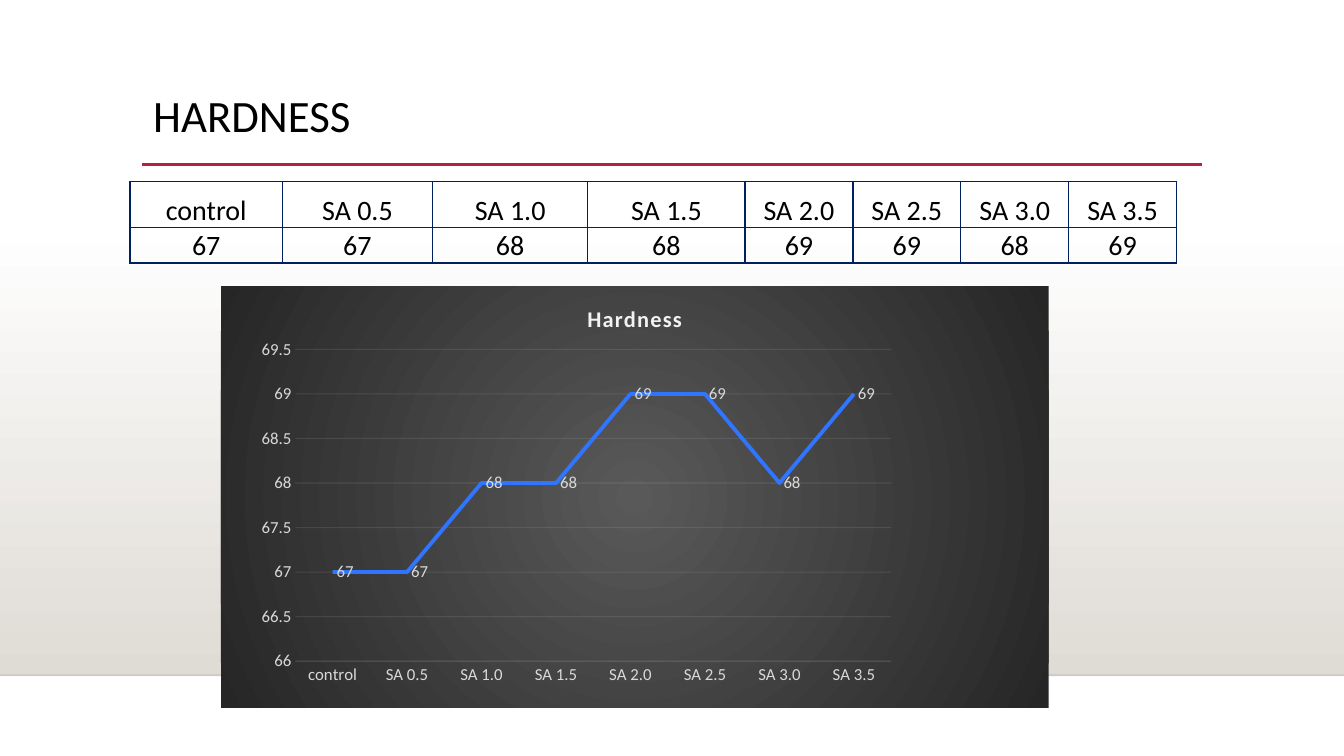
from pptx import Presentation, util as u
from pptx.chart.data import CategoryChartData
from pptx.dml.color import RGBColor
from pptx.enum import chart as charts, shapes, text
from pptx.oxml import parse_xml
from pptx.oxml.ns import nsdecls

WIDTH, HEIGHT = u.Inches(13.33), u.Inches(7.5)
FONT = "Calibri"
COLORS = {
    "white": "FFFFFF", "black": "000000", "stone": "DFDBD5", "floor": "000001",
    "crimson": "B71E42", "navy": "002060", "blue": "3075FF", "label": "D9D9D9",
    "pale": "F2F2F2", "glow": "595959", "charcoal": "262626",
}
SAMPLES = ["control"] + [f"SA {step / 2:.1f}" for step in range(1, 8)]
HARDNESS = [67, 67, 68, 68, 69, 69, 68, 69]
COLUMN_SHARES = [11.33, 11.18, 11.55, 11.7] + [8.03] * 4
ROW_SHARES = [6.13, 4.67]


def color(name):
    """Return a named colour."""
    return RGBColor.from_string(COLORS[name])


def across(share):
    """Turn a percentage of the slide width into a length."""
    return u.Emu(round(WIDTH * share / 100))


def down(share):
    """Turn a percentage of the slide height into a length."""
    return u.Emu(round(HEIGHT * share / 100))


def area(left, top, width, height):
    """Turn slide percentages into a position and size."""
    return across(left), down(top), across(width), down(height)


def style_font(font, size, name):
    """Set the face, size and colour of a font."""
    font.name, font.size = FONT, u.Pt(size)
    font.color.rgb = color(name)


def style_line(line, name, width):
    """Set the colour and width of a line."""
    line.color.rgb = color(name)
    line.width = u.Pt(width)


def fade(element, query, percent):
    """Give the matching colours an opacity."""
    for tint in element.xpath(query):
        tint.append(parse_xml(f'<a:alpha {nsdecls("a")} val="{percent * 1000}"/>'))


def add_band(page):
    """Add the shaded wall behind the content."""
    band = page.shapes.add_shape(shapes.MSO_SHAPE.RECTANGLE, *area(0, 29.47, 100, 59.86))
    band.shadow.inherit = False
    band.line.fill.background()
    band.fill.gradient()
    band.fill.gradient_angle = 270
    for stop, name in zip(band.fill.gradient_stops, ("white", "stone")):
        stop.color.rgb = color(name)


def add_rule(page, left, right, top, name, width):
    """Add a horizontal line and return it."""
    rule = page.shapes.add_connector(
        shapes.MSO_CONNECTOR.STRAIGHT, across(left), down(top), across(right), down(top))
    style_line(rule.line, name, width)
    rule.element.spPr.append(parse_xml(f'<a:effectLst {nsdecls("a")}/>'))
    return rule


def set_title(page, words):
    """Place and format the slide title."""
    box = page.shapes.title
    box.left, box.top, box.width, box.height = area(10.65, 11.73, 78.77, 15.33)
    frame = box.text_frame
    frame.text = words
    frame.vertical_anchor = text.MSO_ANCHOR.TOP
    paragraph = frame.paragraphs[0]
    paragraph.alignment = text.PP_ALIGN.LEFT
    paragraph.line_spacing = 0.9
    style_font(paragraph.font, 32, "black")


def fill_cell(cell, words):
    """Write one bordered, centred table cell."""
    cell.text = words
    cell.vertical_anchor = text.MSO_ANCHOR.BOTTOM
    cell.margin_left = cell.margin_right = cell.margin_top = u.Inches(0.01)
    cell.margin_bottom = 0
    paragraph = cell.text_frame.paragraphs[0]
    paragraph.alignment = text.PP_ALIGN.CENTER
    style_font(paragraph.font, 20, "black")
    cell.fill.background()
    properties = cell.fill._xPr
    for index, side in enumerate(("lnL", "lnR", "lnT", "lnB")):
        properties.insert(index, parse_xml(
            f'<a:{side} {nsdecls("a")} w="{u.Pt(1)}"><a:solidFill>'
            f'<a:srgbClr val="{COLORS["navy"]}"/></a:solidFill></a:{side}>'))


def add_hardness_table(page):
    """Add the table of samples and readings."""
    rows = [SAMPLES, [str(value) for value in HARDNESS]]
    table = page.shapes.add_table(
        len(rows), len(SAMPLES),
        *area(9.68, 24, sum(COLUMN_SHARES), sum(ROW_SHARES))).table
    table.first_row = table.horz_banding = False
    for column, share in zip(table.columns, COLUMN_SHARES):
        column.width = across(share)
    for row, share, values in zip(table.rows, ROW_SHARES, rows):
        row.height = down(share)
        for cell, value in zip(row.cells, values):
            fill_cell(cell, value)


def set_backdrop(chart):
    """Give the chart a radial gradient and no outline."""
    stops = "".join(
        f'<a:gs pos="{position}"><a:srgbClr val="{COLORS[name]}"/></a:gs>'
        for position, name in ((0, "glow"), (100000, "charcoal")))
    chart.element.xpath("c:chart")[0].addnext(parse_xml(
        f'<c:spPr {nsdecls("c", "a")}><a:gradFill><a:gsLst>{stops}</a:gsLst>'
        '<a:path path="circle"><a:fillToRect l="50000" t="50000" r="50000" b="50000"/>'
        '</a:path></a:gradFill><a:ln><a:noFill/></a:ln></c:spPr>'))


def set_plot_area(chart, **edges):
    """Fix the inner plot area as shares of the chart."""
    plot_area = chart.element.xpath("c:chart/c:plotArea")[0]
    for layout in plot_area.xpath("c:layout"):
        plot_area.remove(layout)
    modes = '<c:xMode val="edge"/><c:yMode val="edge"/>'
    values = "".join(f'<c:{edge} val="{share}"/>' for edge, share in edges.items())
    plot_area.insert(0, parse_xml(
        f'<c:layout {nsdecls("c")}><c:manualLayout><c:layoutTarget val="inner"/>'
        f'{modes}{values}</c:manualLayout></c:layout>'))


def style_axes(chart):
    """Format both axes and the gridlines."""
    for axis in (chart.category_axis, chart.value_axis):
        axis.major_tick_mark = axis.minor_tick_mark = charts.XL_TICK_MARK.NONE
        style_font(axis.tick_labels.font, 12, "label")
    values = chart.value_axis
    values.minimum_scale, values.maximum_scale, values.major_unit = 66, 69.5, 0.5
    values.format.line.fill.background()
    for line in (chart.category_axis.format.line, values.major_gridlines.format.line):
        style_line(line, "pale", 0.75)
    fade(chart.element, ".//c:catAx/c:spPr//a:srgbClr | .//c:majorGridlines//a:srgbClr", 10)


def style_series(plot):
    """Format the line and its value labels."""
    plot.vary_by_categories = False
    series = plot.series[0]
    series.smooth = False
    series.marker.style = charts.XL_MARKER_STYLE.NONE
    style_line(series.format.line, "blue", 2.75)
    labels = series.data_labels
    labels.show_value = True
    labels.position = charts.XL_LABEL_POSITION.RIGHT
    style_font(labels.font, 12, "label")


def add_hardness_chart(page):
    """Add the line chart of hardness by sample."""
    data = CategoryChartData()
    data.categories = SAMPLES
    data.add_series("Series 1", HARDNESS)
    chart = page.shapes.add_chart(
        charts.XL_CHART_TYPE.LINE, *area(16.43, 37.87, 61.59, 55.73), data).chart
    chart.has_legend = False
    style_font(chart.font, 10, "black")
    chart.has_title = True
    chart.chart_title.text_frame.text = "Hardness"
    span = chart.chart_title.text_frame.paragraphs[0].runs[0]
    style_font(span.font, 16, "pale")
    span.font.bold = True
    chart.element.xpath(".//c:title//a:rPr")[0].set("spc", "100")
    set_backdrop(chart)
    set_plot_area(chart, x=0.09, y=0.15, w=0.72, h=0.74)
    style_axes(chart)
    style_series(chart.plots[0])


def main():
    """Build and save the hardness slide."""
    deck = Presentation()
    deck.slide_width, deck.slide_height = WIDTH, HEIGHT
    page = deck.slides.add_slide(deck.slide_layouts[5])
    add_band(page)
    floor = add_rule(page, 0, 100, 89.33, "floor", 1)
    fade(floor.element, ".//a:ln//a:srgbClr", 20)
    add_rule(page, 10.58, 89.42, 21.73, "crimson", 2.5)
    set_title(page, "HARDNESS")
    add_hardness_table(page)
    add_hardness_chart(page)
    deck.save("out.pptx")


if __name__ == "__main__":
    main()
